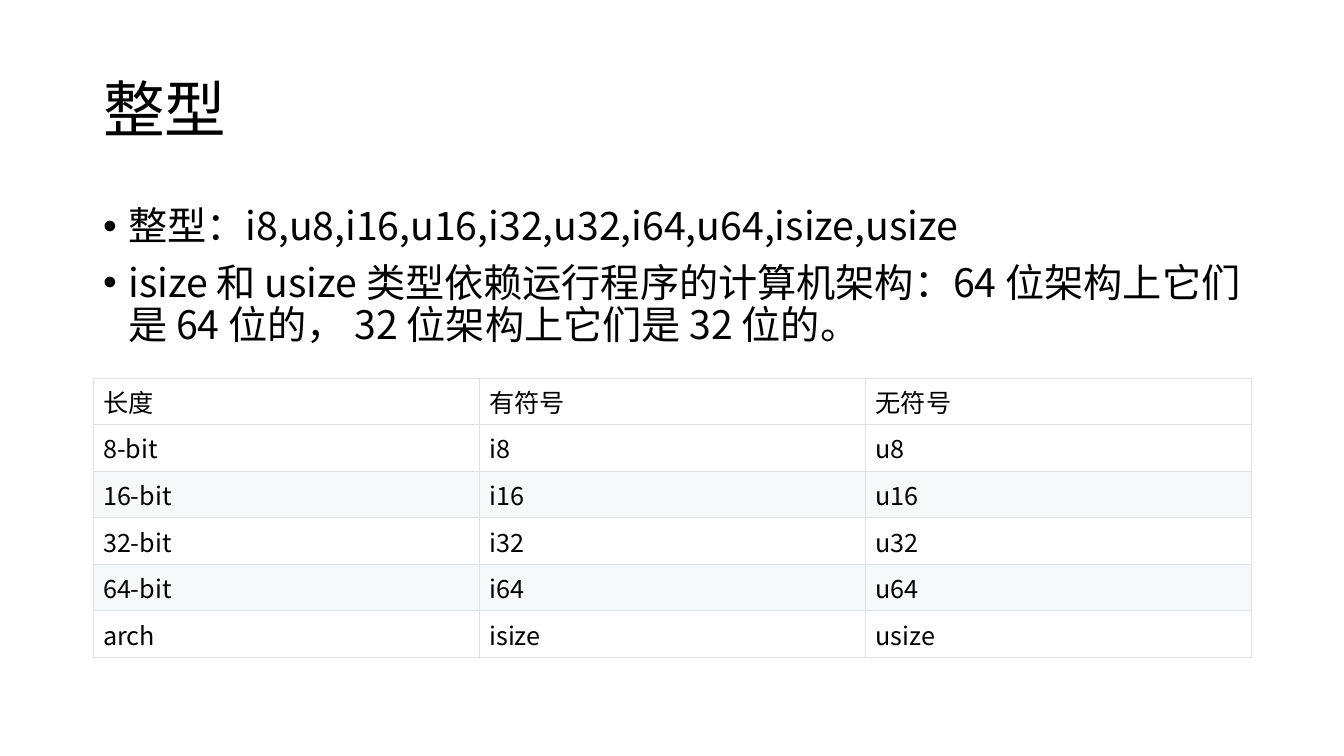
from lxml import etree
from pptx import Presentation
from pptx import util as u
from pptx.dml.color import RGBColor
from pptx.enum import text
from pptx.oxml.ns import qn

TITLE = "整型"
POINTS = [
    "整型：i8,u8,i16,u16,i32,u32,i64,u64,isize,usize",
    "isize 和 usize 类型依赖运行程序的计算机架构：64 位架构上"
    "它们是 64 位的， 32 位架构上它们是 32 位的。",
]
ROWS = [
    ("长度", "有符号", "无符号"),
    ("8-bit", "i8", "u8"),
    ("16-bit", "i16", "u16"),
    ("32-bit", "i32", "u32"),
    ("64-bit", "i64", "u64"),
    ("arch", "isize", "usize"),
]
FONT = "Noto Sans CJK SC"
HEX = {"ink": "000000", "plain": "FFFFFF", "band": "F6F8FA", "rule": "DFE2E5"}
LEFT, WIDE = 93, 1159
ROW = 44
STRIPED = (2, 4)


def px(n):
    """Turn pixels into EMU."""
    return u.Emu(round(n * 914400 / 100.8))


def place(shape, top, high):
    """Set a shape in the content column."""
    shape.left, shape.top = px(LEFT), px(top)
    shape.width, shape.height = px(WIDE), px(high)


def style(par, size):
    """Format a paragraph and its runs."""
    par.alignment = text.PP_ALIGN.LEFT
    for run in par.runs:
        font = run.font
        font.size, font.name, font.bold = u.Pt(size), FONT, False
        font.color.rgb = RGBColor.from_string(HEX["ink"])
        etree.SubElement(run._r.rPr, qn("a:ea"), typeface=FONT)


def bullet(par):
    """Give a paragraph a hanging dot."""
    props = par._p.get_or_add_pPr()
    props.set("marL", "228600")
    props.set("indent", "-228600")
    etree.SubElement(props, qn("a:buFont"), typeface="Arial")
    etree.SubElement(props, qn("a:buChar"), char="•")


def border(cell):
    """Rule all four sides of a cell, ahead of its fill."""
    props = cell._tc.get_or_add_tcPr()
    for i, side in enumerate(("lnL", "lnR", "lnT", "lnB")):
        line = etree.Element(qn("a:" + side), w=str(u.Pt(0.75)))
        fill = etree.SubElement(line, qn("a:solidFill"))
        etree.SubElement(fill, qn("a:srgbClr"), val=HEX["rule"])
        props.insert(i, line)


deck = Presentation()
deck.slide_width, deck.slide_height = px(1344), px(756)
slide = deck.slides.add_slide(deck.slide_layouts[1])

title, body = slide.placeholders
place(title, 40, 146)
title.text_frame.text = TITLE
title.text_frame.vertical_anchor = text.MSO_ANCHOR.MIDDLE
head = title.text_frame.paragraphs[0]
head.line_spacing = 0.9
style(head, 44)

place(body, 202, 480)
body.text_frame.text = "\n".join(POINTS)
for par in body.text_frame.paragraphs:
    par.line_spacing, par.space_before = 0.9, u.Pt(10)
    style(par, 28)
    bullet(par)
for shape in (title, body):
    shape.text_frame.auto_size = text.MSO_AUTO_SIZE.NONE

grid = slide.shapes.add_table(
    len(ROWS), len(ROWS[0]), px(LEFT), px(378), px(WIDE), px(ROW * len(ROWS))
).table
grid.first_row = grid.horz_banding = False
for r, row in enumerate(ROWS):
    grid.rows[r].height = px(ROW)
    for c, word in enumerate(row):
        cell = grid.cell(r, c)
        cell.text_frame.text = word
        cell.vertical_anchor = text.MSO_ANCHOR.MIDDLE
        style(cell.text_frame.paragraphs[0], 18)
        cell.fill.solid()
        tone = HEX["band" if r in STRIPED else "plain"]
        cell.fill.fore_color.rgb = RGBColor.from_string(tone)
        border(cell)

deck.save("out.pptx")
